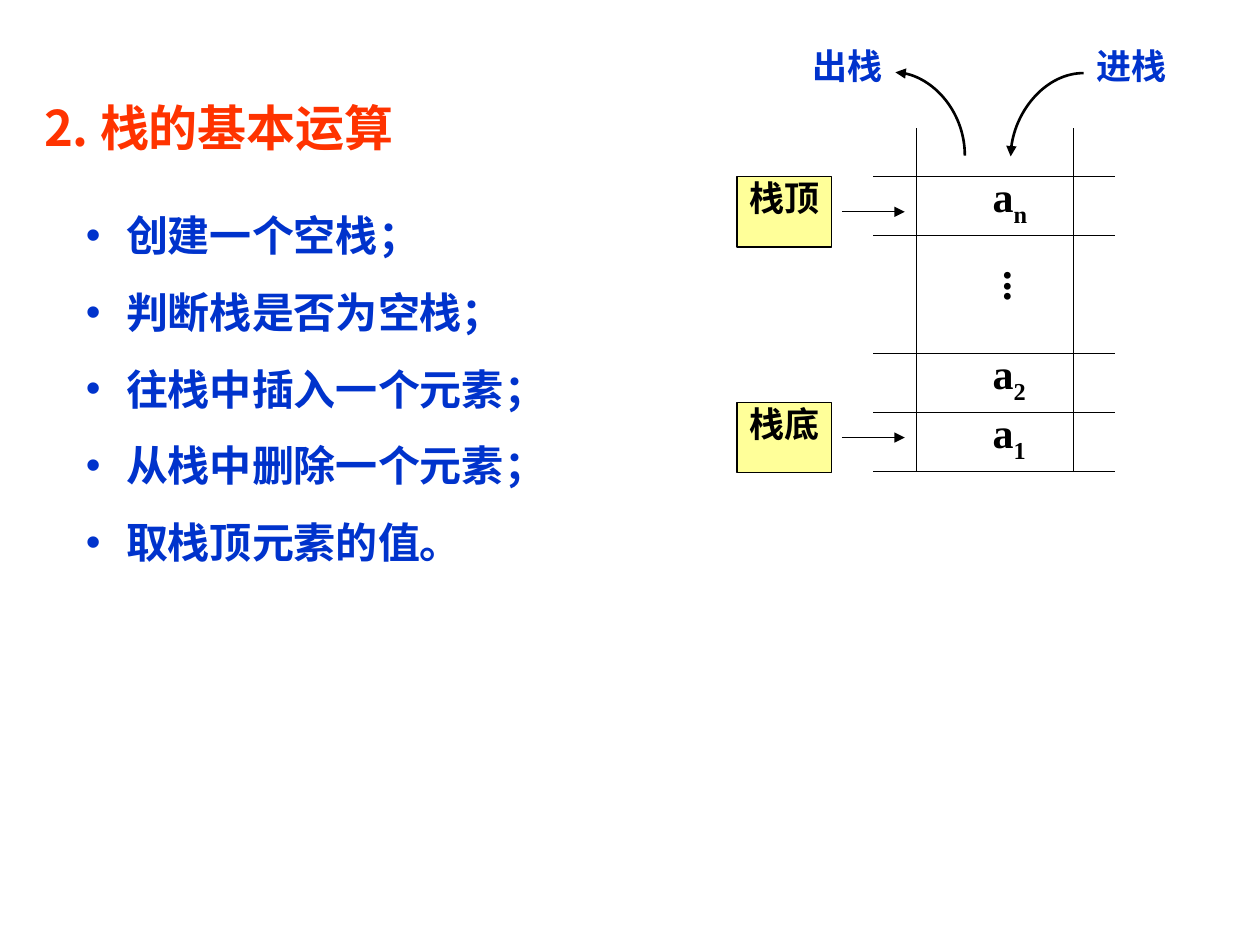
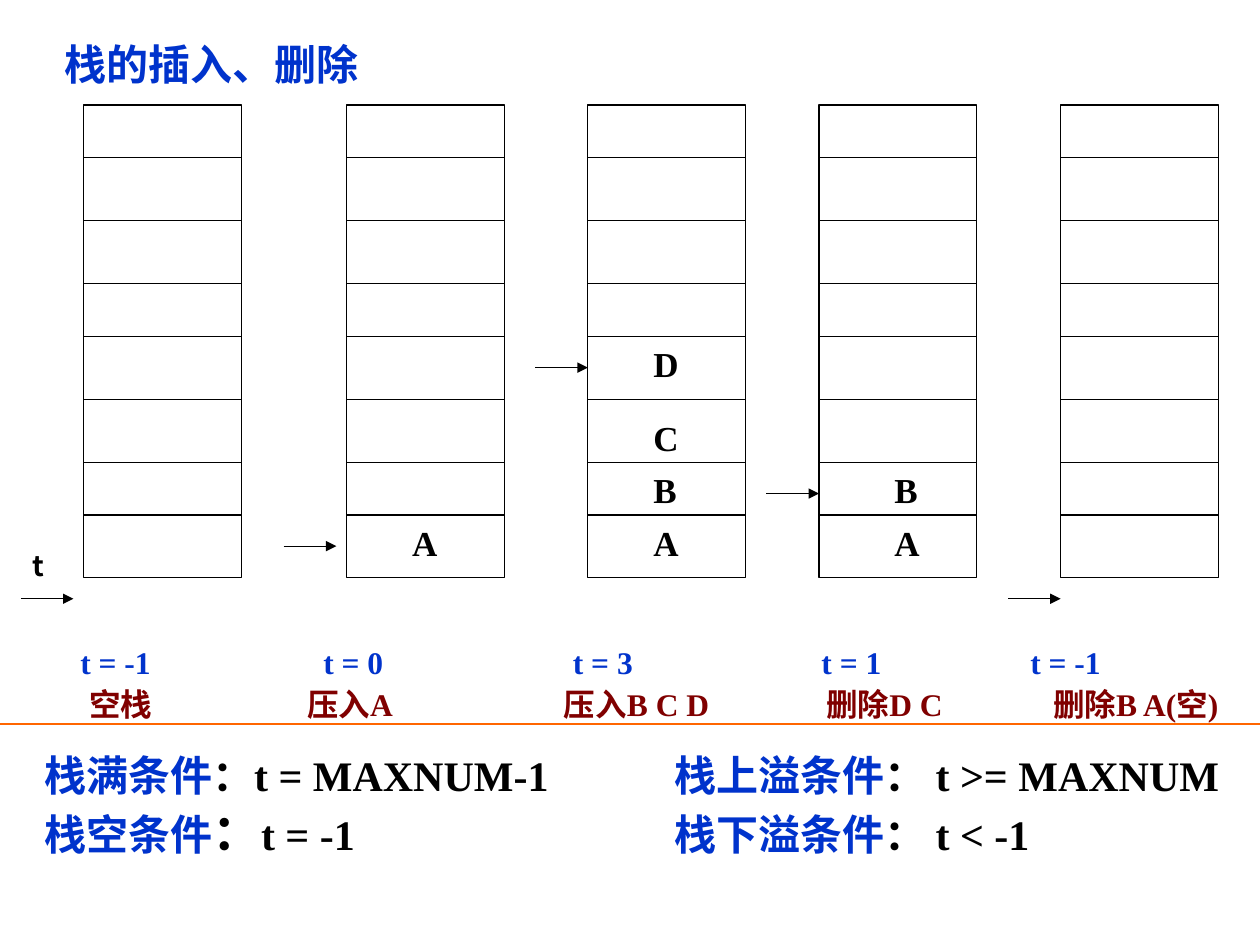
"""Build two slides on the stack: its basic operations, then push and pop."""
from lxml import etree
from pptx import Presentation
from pptx import util as u
from pptx.dml.color import RGBColor
from pptx.enum import shapes, text
from pptx.oxml.ns import qn

COLOURS = {"blue": "0033CC", "red": "FF3300", "black": "000000",
           "yellow": "FFFF99", "maroon": "800000", "orange": "FF6600"}
SANS, SERIF = "Noto Sans CJK SC", "Times New Roman"
FRAME = {"word_wrap": True, "auto_size": text.MSO_AUTO_SIZE.NONE,
         "vertical_anchor": text.MSO_ANCHOR.TOP,
         "margin_left": u.Cm(0.25), "margin_right": u.Cm(0.25),
         "margin_top": u.Cm(0.13), "margin_bottom": u.Cm(0.13)}


def assign(target, values):
    """Set every attribute in a dict of format values."""
    for name, value in values.items():
        setattr(target, name, value)


def colour(name):
    """Return the named colour."""
    return RGBColor.from_string(COLOURS[name])


def place(box, left, top, width, height):
    """Move and size an object, in centimetres."""
    assign(box, {"left": u.Cm(left), "top": u.Cm(top),
                 "width": u.Cm(width), "height": u.Cm(height)})


def add_span(para, words, size, tint="black", font=SERIF, baseline=None):
    """Append one bold run with its Latin and East Asian fonts."""
    span = para.add_run()
    span.text = words
    assign(span.font, {"size": u.Pt(size), "bold": True, "name": font})
    span.font.color.rgb = colour(tint)
    properties = span._r.get_or_add_rPr()
    etree.SubElement(properties, qn("a:ea"), typeface=SANS)
    if baseline:
        properties.set("baseline", str(baseline))


def add_box(page, left, top, width, height, **frame_values):
    """Add a text box and return its text frame."""
    box = page.shapes.add_textbox(0, 0, 0, 0)
    place(box, left, top, width, height)
    assign(box.text_frame, FRAME | frame_values)
    return box.text_frame


def add_label(page, left, top, words, size=20, tint="black", font=SERIF):
    """Add a short one-line label."""
    frame = add_box(page, left, top, 2.1, 1.12)
    add_span(frame.paragraphs[0], words, size, tint, font)


def set_tabs(para, stops):
    """Give a paragraph left tab stops, in centimetres."""
    tabs = etree.SubElement(para._p.get_or_add_pPr(), qn("a:tabLst"))
    for stop in stops:
        etree.SubElement(tabs, qn("a:tab"), pos=str(int(u.Cm(stop))), algn="l")


def add_line(page, start, end, tint="black", width=0.75, arrow=None,
             kind=shapes.MSO_CONNECTOR.STRAIGHT):
    """Draw a connector; arrow is headEnd, tailEnd or None."""
    line = page.shapes.add_connector(kind, *(u.Cm(n) for n in (*start, *end)))
    line.line.color.rgb = colour(tint)
    line.line.width = u.Pt(width)
    if arrow:
        etree.SubElement(line.line._get_or_add_ln(), qn(f"a:{arrow}"), type="triangle")
    etree.SubElement(line._element.spPr, qn("a:effectLst"))
    return line


def add_curve(page, left, top, width, height, arrow, **turn):
    """Draw a quarter-turn arrow from its unrotated box."""
    curve = add_line(page, (left, top), (left + width, top + height), width=1.5,
                     arrow=arrow, kind=shapes.MSO_CONNECTOR.CURVE)
    properties = curve._element.spPr
    properties.find(qn("a:prstGeom")).set("prst", "curvedConnector2")
    for name, value in turn.items():
        properties.find(qn("a:xfrm")).set(name, value)


def add_rectangle(page, left, top, width, height, fill=None):
    """Add a thin-lined rectangle, filled or open."""
    box = page.shapes.add_shape(shapes.MSO_SHAPE.RECTANGLE,
                                *(u.Cm(n) for n in (left, top, width, height)))
    box.shadow.inherit = False
    box.line.color.rgb = colour("black")
    box.line.width = u.Pt(0.75)
    if fill:
        box.fill.solid()
        box.fill.fore_color.rgb = colour(fill)
    else:
        box.fill.background()
    return box


def set_title(page, box, words, size, tint, font):
    """Move and format the title placeholder."""
    title = page.shapes.title
    place(title, *box)
    assign(title.text_frame, FRAME | {"vertical_anchor": text.MSO_ANCHOR.MIDDLE})
    para = title.text_frame.paragraphs[0]
    para.alignment = text.PP_ALIGN.LEFT
    add_span(para, words, size, tint, font)


def fill_list(body, box, items):
    """Place the body placeholder and fill its bulleted list."""
    place(body, *box)
    frame = body.text_frame
    assign(frame, FRAME)
    for index, item in enumerate(items):
        para = frame.add_paragraph() if index else frame.paragraphs[0]
        assign(para, {"space_before": u.Pt(0), "space_after": u.Pt(15),
                      "line_spacing": u.Pt(28.8)})
        indent = int(u.Cm(0.81))
        para._p.get_or_add_pPr().set("marL", str(indent))
        para._p.get_or_add_pPr().set("indent", str(-indent))
        add_span(para, item, 24, "blue", SANS)


def draw_stack_model(page, left, top):
    """Draw the stack with its top and bottom tags and its two moves."""
    row, rails, rungs = 1.19, (3.61, 6.78), (2.74, 7.62)
    for x in rails:
        add_line(page, (left + x, top - 0.97), (left + x, top + 5 * row))
    for index in (0, 1, 3, 4, 5):
        y = top + index * row
        add_line(page, (left + rungs[0], y), (left + rungs[1], y))
    for index, mark in ((0, "n"), (3, "2"), (4, "1")):
        frame = add_box(page, left + 4.9, top + index * row - 0.25, 1.6, 1.42)
        add_span(frame.paragraphs[0], "a", 24)
        add_span(frame.paragraphs[0], mark, 24, baseline=-25000)
    dots = add_box(page, left + 4.85, top + 1.65, 1.52, 1.27,
                   margin_left=u.Cm(0.13), margin_right=u.Cm(0.13),
                   margin_top=u.Cm(0.25), margin_bottom=u.Cm(0.25))
    dots._txBody.bodyPr.set("vert", "eaVert")
    add_span(dots.paragraphs[0], "...", 24)
    for words, y in (("栈顶", top), ("栈底", top + 4.55)):
        tag = add_rectangle(page, left, y, 1.91, 1.42, "yellow")
        assign(tag.text_frame, FRAME | {"margin_top": 0, "margin_right": 0})
        tag.text_frame.paragraphs[0].alignment = text.PP_ALIGN.LEFT
        add_span(tag.text_frame.paragraphs[0], words, 20)
        add_line(page, (left + 2.11, y + 0.71), (left + 3.38, y + 0.71), arrow="tailEnd")
    for words, x in (("出栈", 1.27), ("进栈", 6.99)):
        add_label(page, left + x, top - 2.8, words, tint="blue")
    add_curve(page, left + 3.05, top - 1.96, 1.68, 1.4, "tailEnd",
              rot="16200000", flipV="1")
    add_curve(page, left + 5.41, top - 1.98, 1.68, 1.47, "headEnd",
              rot="5400000", flipH="1", flipV="1")


def draw_stack(page, left, top, letters, letter_x, pointer_y, gap):
    """Draw an eight-cell stack, its letters and the pointer t beside it."""
    width, height = 3.18, 9.53
    add_rectangle(page, left, top, width, height)
    for edge in (1.06, 2.33, 3.6, 4.66, 5.93, 7.2, 8.26):
        add_line(page, (left, top + edge), (left + width, top + edge))
    for letter, y in zip(letters, (8.26, 7.2, 6.14, 4.66)):
        add_label(page, left + letter_x, top + y, letter)
    tip, y = left - gap, top + pointer_y
    add_line(page, (tip - 1.06, y), (tip, y), arrow="tailEnd")


def write_captions(page, left, top):
    """Write the value of t and the step under each stack."""
    frame = add_box(page, left, top, 24.0, 1.78, margin_right=0)
    values, steps = frame.paragraphs[0], frame.add_paragraph()
    steps.line_spacing = u.Pt(23.8)
    set_tabs(values, (4.9, 9.93, 14.94, 19.15))
    set_tabs(steps, (0.18, 4.57, 9.75, 15.04, 19.61))
    add_span(values, "t = -1\tt = 0\tt = 3\tt = 1\tt = -1", 18, "blue")
    add_span(steps, "\t空栈\t压入A\t压入B C D\t删除D C\t删除B A(空)", 18, "maroon")


def write_conditions(page, left, top):
    """Write the full, empty, overflow and underflow conditions."""
    frame = add_box(page, left, top, 24.26, 3.48)
    rows = (
        (28.6, "栈满条件", 24, "t = MAXNUM-1", "栈上溢条件", "： t >= MAXNUM"),
        (34.3, "栈空条件", 28, "t = -1", "栈下溢条件", "： t < -1"))
    for index, (pitch, name, colon, rule, limit, bound) in enumerate(rows):
        para = frame.add_paragraph() if index else frame.paragraphs[0]
        para.line_spacing = u.Pt(pitch)
        set_tabs(para, (12.7,))
        add_span(para, name, 24, "blue")
        add_span(para, "：", colon)
        add_span(para, rule + "\t", 24)
        add_span(para, limit, 24, "blue")
        add_span(para, bound, 24)


def build_operations(deck):
    """Build the slide on the basic operations."""
    page = deck.slides.add_slide(deck.slide_layouts[1])
    set_title(page, (0.64, 1.7, 10, 1.7), "2. 栈的基本运算", 28, "red", SANS)
    fill_list(page.placeholders[1], (1.48, 4.1, 11, 7.7),
              ("创建一个空栈；", "判断栈是否为空栈；", "往栈中插入一个元素；",
               "从栈中删除一个元素；", "取栈顶元素的值。"))
    draw_stack_model(page, 14.86, 3.56)


def build_push_pop(deck):
    """Build the slide on insertion and deletion."""
    page = deck.slides.add_slide(deck.slide_layouts[5])
    set_title(page, (1.06, 0.64, 8, 1.27), "栈的插入、删除", 24, "blue", SERIF)
    stacks = ((1.69, "", 0, 9.95, 0.21), (6.99, "A", 1.07, 8.89, 0.21),
              (11.85, "ABCD", 1.07, 5.29, 0), (16.51, "AB", 1.27, 7.83, 0),
              (21.38, "", 0, 9.95, 0))
    for left, *details in stacks:
        draw_stack(page, left, 2.12, *details)
    add_label(page, 0.41, 10.92, "t", 16, font=SANS)
    write_captions(page, 1.37, 12.83)
    add_line(page, (0, 14.6), (25.4, 14.6), "orange", 1.25)
    write_conditions(page, 0.64, 14.99)


def main():
    """Build and save the deck."""
    deck = Presentation()
    assign(deck, {"slide_width": u.Cm(25.4), "slide_height": u.Cm(19.05)})
    build_operations(deck)
    build_push_pop(deck)
    deck.save("out.pptx")


if __name__ == "__main__":
    main()
